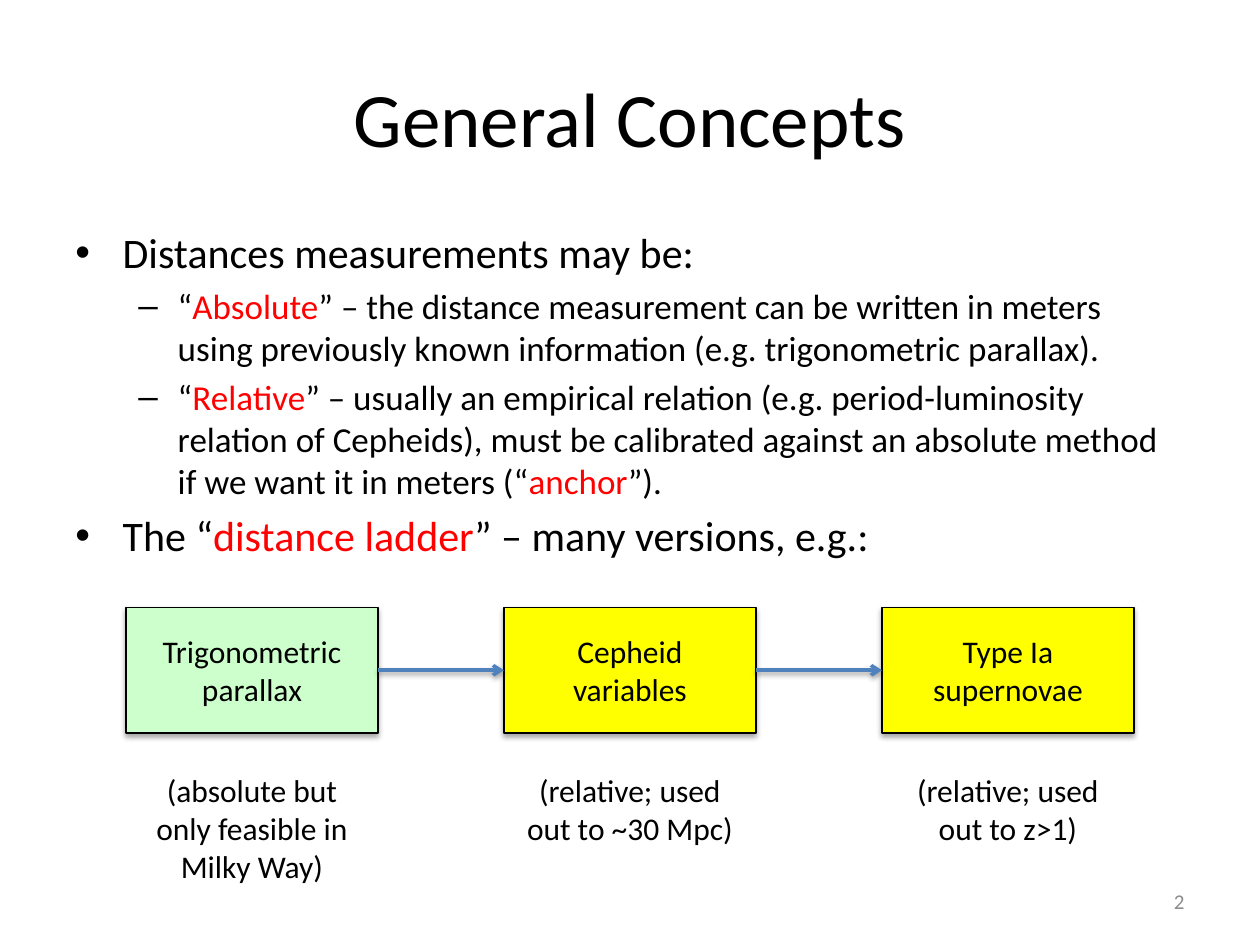
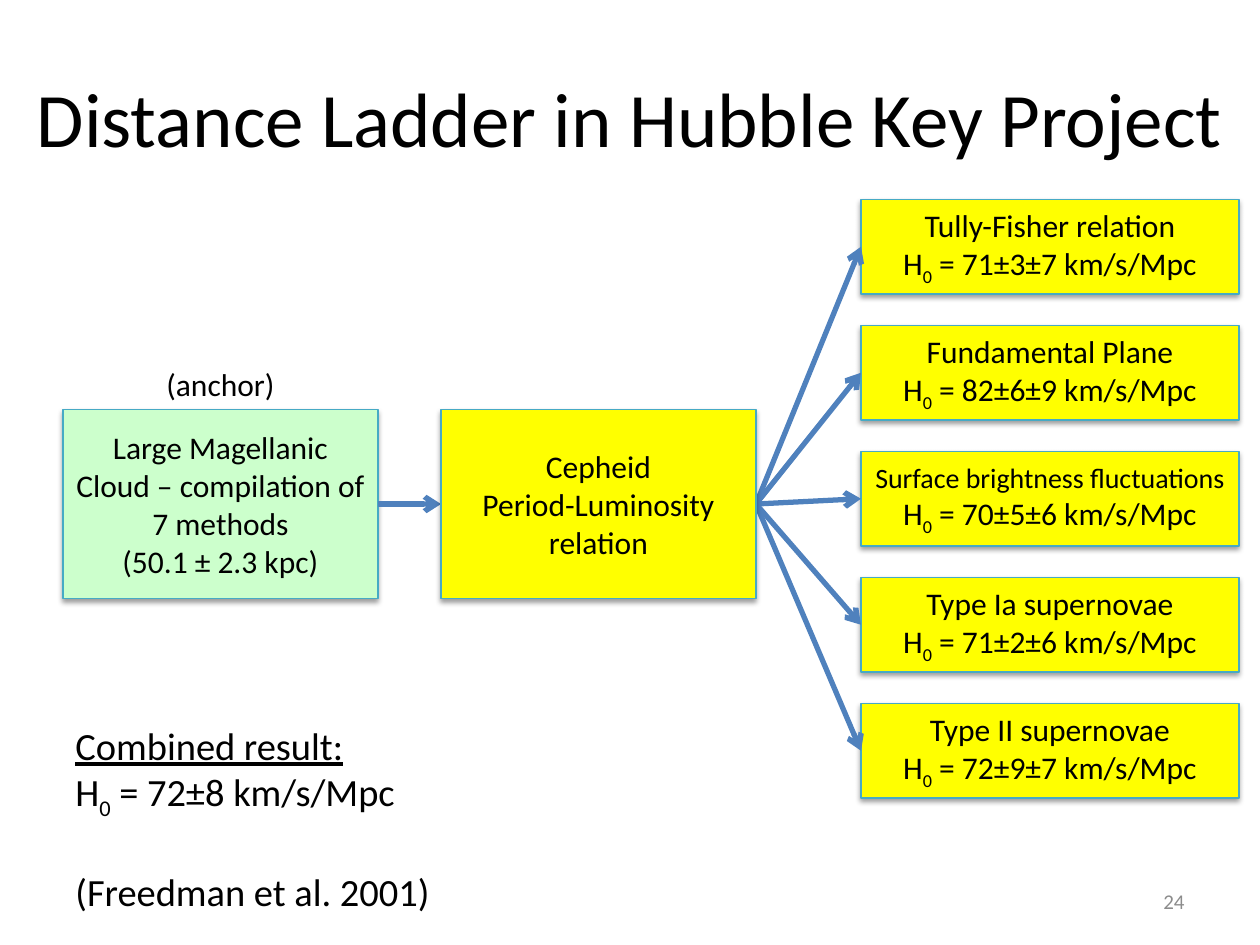
from lxml.etree import SubElement
from pptx import Presentation
from pptx.dml.color import RGBColor
from pptx.enum.shapes import MSO_CONNECTOR as Connector, MSO_SHAPE as Shape
from pptx.enum.text import MSO_ANCHOR as Anchor, PP_ALIGN as Align
from pptx.oxml.ns import qn
from pptx.util import Pt

BLACK = RGBColor(0x00, 0x00, 0x00)
RED = RGBColor(0xFF, 0x00, 0x00)
GREY = RGBColor(0x8C, 0x8C, 0x8C)
BLUE = RGBColor(0x4F, 0x81, 0xBD)
TEAL = RGBColor(0x46, 0xAA, 0xC5)
GREEN = RGBColor(0xCC, 0xFF, 0xCC)
YELLOW = RGBColor(0xFF, 0xFF, 0x00)

# Shadow strength: distance in points, opacity in percent
BLACK_BOX_SHADOW = (1.8, 35)
SOFT_SHADOW = (1.6, 38)

# Bullet levels: sign, left margin, hanging indent, text size
BULLETS = [("•", 27, 27, 24), ("–", 58.5, 22.5, 20)]


def red(text):
    return text, {"color": RED}


def hubble(value):
    return ["H", ("0", {"baseline": -25000}), f" = {value} km/s/Mpc"]


class SlideWriter:
    """Holds the shared style and the slide being written."""

    font = {"name": "Calibri", "color": BLACK}

    def __init__(self, deck):
        self.deck = deck
        self.slide = None

    def page(self, title, number, title_left=36):
        self.slide = self.deck.slides.add_slide(self.deck.slide_layouts[6])
        self.text(title_left, 21.6, 720 - 2 * title_left, 90, [title],
                  size=44, align=Align.CENTER, anchor=Anchor.MIDDLE)
        self.text(516, 500.5, 168, 28.8, [number], size=12, color=GREY,
                  align=Align.RIGHT, anchor=Anchor.MIDDLE)

    def span(self, para, piece, **formats):
        """Adds a run; a piece is plain text or (text, formats)."""
        text, extra = (piece, {}) if isinstance(piece, str) else piece
        values = {**self.font, **formats, **extra}
        run = para.add_run()
        run.text = text
        run.font.color.rgb = values.pop("color")
        baseline = values.pop("baseline", None)
        for name, value in values.items():
            setattr(run.font, name, Pt(value) if name == "size" else value)
        if baseline:
            run.font._element.set("baseline", str(baseline))

    def paragraphs(self, frame, lines, align=Align.LEFT, **formats):
        """Fills a frame; a line is text or a list of pieces."""
        for index, line in enumerate(lines):
            para = frame.add_paragraph() if index else frame.paragraphs[0]
            para.alignment = align
            for piece in [line] if isinstance(line, str) else line:
                self.span(para, piece, **formats)

    def text(self, left, top, width, height, lines,
             anchor=Anchor.TOP, wrap=True, **formats):
        box = self.slide.shapes.add_textbox(
            Pt(left), Pt(top), Pt(width), Pt(height))
        frame = box.text_frame
        frame.word_wrap = wrap
        frame.vertical_anchor = anchor
        self.paragraphs(frame, lines, **formats)
        return frame

    def bullets(self, left, top, width, height, items):
        frame = self.text(left, top, width, height, [])
        for index, (level, pieces) in enumerate(items):
            sign, margin, hanging, size = BULLETS[level]
            para = frame.add_paragraph() if index else frame.paragraphs[0]
            para.level = level
            props = para._p.get_or_add_pPr()
            props.set("marL", str(Pt(margin)))
            props.set("indent", str(-Pt(hanging)))
            SubElement(props, qn("a:buFont"), typeface="Arial")
            SubElement(props, qn("a:buChar"), char=sign)
            if index:
                para.space_before = Pt(0.2 * size)
            for piece in pieces:
                self.span(para, piece, size=size)

    def effects(self, shape, shadow):
        """Replaces the theme shadow with the given one, or with none."""
        effects = SubElement(shape._element.spPr, qn("a:effectLst"))
        if shadow:
            distance, opacity = shadow
            outer = SubElement(effects, qn("a:outerShdw"),
                               blurRad=str(Pt(3.1)), dist=str(Pt(distance)),
                               dir="5400000", rotWithShape="0")
            color = SubElement(outer, qn("a:srgbClr"), val=str(BLACK))
            SubElement(color, qn("a:alpha"), val=str(opacity * 1000))

    def box(self, left, top, width, height, lines, fill,
            edge=TEAL, shadow=SOFT_SHADOW):
        box = self.slide.shapes.add_shape(
            Shape.RECTANGLE, Pt(left), Pt(top), Pt(width), Pt(height))
        box.fill.solid()
        box.fill.fore_color.rgb = fill
        box.line.color.rgb = edge
        box.line.width = Pt(0.75)
        self.effects(box, shadow)
        box.text_frame.word_wrap = True
        box.text_frame.vertical_anchor = Anchor.MIDDLE
        self.paragraphs(box.text_frame, lines, align=Align.CENTER, size=18)

    def arrow(self, start, end, width, shadow=None):
        arrow = self.slide.shapes.add_connector(
            Connector.STRAIGHT, *(Pt(value) for value in (*start, *end)))
        arrow.line.color.rgb = BLUE
        arrow.line.width = Pt(width)
        SubElement(arrow.line._get_or_add_ln(), qn("a:tailEnd"), type="arrow")
        self.effects(arrow, shadow)


def general_concepts(writer):
    writer.page("General Concepts", "2")
    writer.bullets(36, 126, 648, 356.4, [
        (0, ["Distances measurements may be:"]),
        (1, ["“", red("Absolute"),
             "” – the distance measurement can be written in meters using "
             "previously known information (e.g. trigonometric parallax)."]),
        (1, ["“", red("Relative"),
             "” – usually an empirical relation (e.g. period-luminosity "
             "relation of Cepheids), must be calibrated against an absolute "
             "method if we want it in meters (“", red("anchor"), "”)."]),
        (0, ["The “", red("distance ladder"), "” – many versions, e.g.:"]),
    ])

    # Ladder steps with a note under each
    steps = [
        (["Trigonometric", "parallax"], GREEN,
         "(absolute but only feasible in Milky Way)"),
        (["Cepheid", "variables"], YELLOW, "(relative; used out to ~30 Mpc)"),
        (["Type Ia", "supernovae"], YELLOW, "(relative; used out to z>1)"),
    ]
    top, width, height, pitch = 347, 144, 72, 216
    for index, (lines, fill, note) in enumerate(steps):
        left = 72 + index * pitch
        writer.box(left, top, width, height, lines, fill,
                   edge=BLACK, shadow=BLACK_BOX_SHADOW)
        writer.text(left, 437, width, 51, [note], size=18, align=Align.CENTER)
        if index:
            middle = top + height / 2
            writer.arrow((left - pitch + width, middle), (left, middle),
                         2, SOFT_SHADOW)


def hubble_key_project(writer):
    writer.page("Distance Ladder in Hubble Key Project", "24", title_left=0)

    # Anchor
    writer.text(36, 205, 180, 29, ["(anchor)"], size=18, align=Align.CENTER)
    writer.box(36, 234, 180, 108,
               ["Large Magellanic Cloud – compilation of 7 methods",
                "(50.1 ± 2.3 kpc)"], GREEN)
    writer.arrow((216, 288), (252, 288), 3)

    # Methods calibrated by the Cepheids
    methods = [
        ("Tully-Fisher relation", "71±3±7"),
        ("Fundamental Plane", "82±6±9"),
        (("Surface brightness fluctuations", {"size": 16}), "70±5±6"),
        ("Type Ia supernovae", "71±2±6"),
        ("Type II supernovae", "72±9±7"),
    ]
    for index, (method, value) in enumerate(methods):
        top = 114 + index * 72
        writer.box(492, top, 216, 54, [[method], hubble(value)], YELLOW)
        writer.arrow((432, 288), (492, top + 27), 3)
    writer.box(252, 234, 180, 108,
               ["Cepheid", "Period-Luminosity relation"], YELLOW)

    # Result
    result = writer.text(36, 409, 220, 114, [
        [("Combined result:", {"underline": True})],
        hubble("72±8"),
        "(Freedman et al. 2001)",
    ], size=22, wrap=False)
    result.paragraphs[-1].space_before = Pt(27)


def main():
    deck = Presentation()
    deck.slide_width, deck.slide_height = Pt(720), Pt(540)
    writer = SlideWriter(deck)
    general_concepts(writer)
    hubble_key_project(writer)
    deck.save("out.pptx")


if __name__ == "__main__":
    main()
